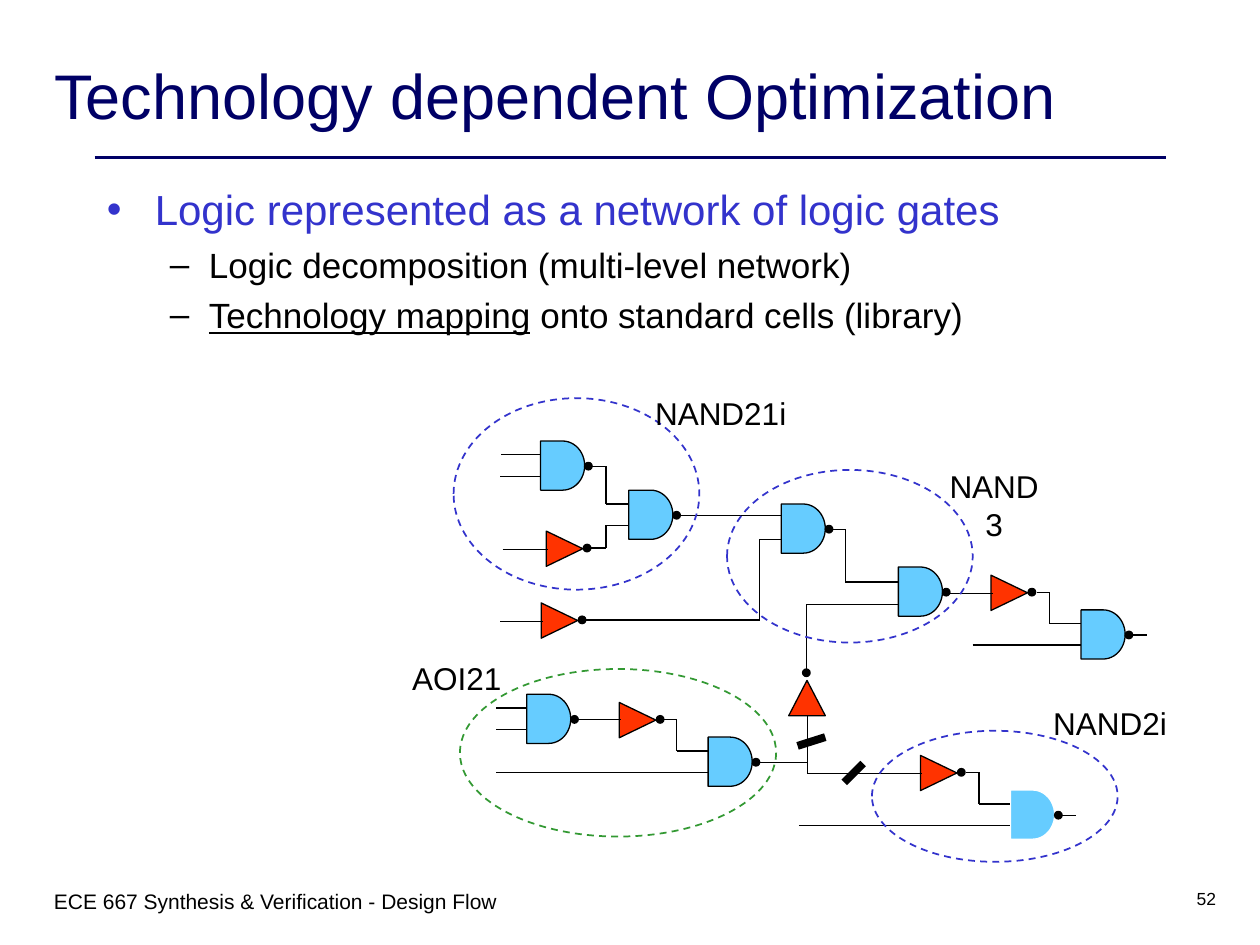
from typing import NamedTuple

from lxml.etree import SubElement
from pptx import Presentation
from pptx.dml.color import RGBColor
from pptx.enum.dml import MSO_LINE
from pptx.enum.shapes import MSO_CONNECTOR, MSO_SHAPE
from pptx.enum.text import MSO_ANCHOR, MSO_AUTO_SIZE, PP_ALIGN
from pptx.oxml.ns import qn
from pptx.util import Inches, Pt

COLORS = {
    "navy": "000066", "blue": "3333CC", "black": "000000", "white": "FFFFFF",
    "nand": "66CCFF", "inverter": "FF3300", "green": "339933",
}
FONT = "Arial"
BUBBLE = 0.06


class Nand(NamedTuple):
    left: float
    top: float
    outline: str = "black"


class Inverter(NamedTuple):
    left: float
    top: float


class Cell(NamedTuple):
    """A library cell: dashed outline and its name."""
    name: str
    outline: tuple[float, float, float, float]
    label: tuple[float, float, float]
    color: str = "blue"


class Bullet(NamedTuple):
    runs: list[tuple[str, bool]]  # text, underlined
    level: int
    mark: str
    margin: float
    hanging: float
    size: int
    color: str
    space: int


NANDS = [
    Nand(4.29, 3.5), Nand(4.99, 3.89), Nand(6.2, 4), Nand(7.13, 4.5),
    Nand(8.58, 4.84), Nand(4.18, 5.51), Nand(5.62, 5.85), Nand(8.02, 6.27, "white"),
]
INVERTERS = [
    Inverter(4.34, 4.21), Inverter(4.3, 4.78), Inverter(7.87, 4.56),
    Inverter(4.92, 5.57), Inverter(7.31, 5.99),
]
# Each wire is a run of corner points
WIRES = [
    # NAND21i cell
    [(3.98, 3.61), (4.29, 3.61)],
    [(3.97, 3.78), (4.29, 3.78)],
    [(4.7, 3.7), (4.81, 3.7), (4.81, 4), (4.99, 4)],
    [(3.99, 4.36), (4.35, 4.36)],
    [(4.69, 4.35), (4.81, 4.35), (4.81, 4.17), (4.99, 4.17)],
    [(5.39, 4.09), (6.2, 4.09)],
    # NAND3 cell
    [(3.97, 4.93), (4.31, 4.93)],
    [(4.65, 4.92), (6.03, 4.92), (6.03, 4.28), (6.2, 4.28)],
    [(6.61, 4.2), (6.71, 4.2), (6.71, 4.62), (7.13, 4.62)],
    # Output stage
    [(7.54, 4.71), (7.88, 4.71)],
    [(8.23, 4.7), (8.33, 4.7), (8.33, 4.95), (8.58, 4.95)],
    [(7.72, 5.12), (8.58, 5.12)],
    [(8.98, 5.04), (9.1, 5.04)],
    # AOI21 cell
    [(3.94, 5.62), (4.18, 5.62)],
    [(3.94, 5.79), (4.18, 5.79)],
    [(4.58, 5.71), (4.93, 5.71)],
    [(5.27, 5.71), (5.37, 5.71), (5.37, 5.96), (5.62, 5.96)],
    [(3.94, 6.13), (5.62, 6.13)],
    # Fan-out to the upward inverter and the NAND2i cell
    [(6.03, 6.05), (6.41, 6.05), (6.41, 5.68)],
    [(6.4, 5.31), (6.4, 4.8), (7.13, 4.8)],
    [(6.41, 6.05), (6.41, 6.14), (7.32, 6.14)],
    [(7.67, 6.13), (7.77, 6.13), (7.77, 6.38), (8.02, 6.38)],
    [(6.34, 6.55), (8.02, 6.55)],
    [(8.43, 6.47), (8.54, 6.47)],
]
CUT_MARKS = [[(6.33, 5.92), (6.55, 5.85)], [(6.7, 6.21), (6.85, 6.06)]]
CELLS = [
    Cell("AOI21", (3.65, 5.31, 2.51, 1.33), (3.17, 5.18, 0.91), "green"),
    Cell("NAND2i", (6.92, 5.8, 1.95, 1.04), (8.26, 5.54, 1.1)),
    Cell("NAND21i", (3.6, 3.16, 1.95, 1.52), (5.1, 3.08, 1.24)),
    Cell("NAND3", (5.77, 3.73, 1.95, 1.37), (7.37, 3.66, 1.04)),
]
BULLETS = [
    Bullet([("Logic represented as a network of logic gates", False)],
           0, "•", 0.38, 0.38, 24, "blue", 0),
    Bullet([("Logic decomposition (multi-level network)", False)],
           1, "–", 0.81, 0.31, 20, "black", 5),
    Bullet([("Technology mapping", True), (" onto standard cells (library)", False)],
           1, "–", 0.81, 0.31, 20, "black", 5),
]


def rgb(color: str) -> RGBColor:
    return RGBColor.from_string(COLORS[color])


def style_font(paragraph, size: float, color: str) -> None:
    paragraph.font.name = FONT
    paragraph.font.size = Pt(size)
    paragraph.font.color.rgb = rgb(color)


def add_route(shapes, points, width: float = 0.75, color: str = "black") -> None:
    for start, end in zip(points, points[1:]):
        segment = shapes.add_connector(
            MSO_CONNECTOR.STRAIGHT, *(Inches(v) for v in (*start, *end)))
        segment.line.width = Pt(width)
        segment.line.color.rgb = rgb(color)
        SubElement(segment._element.spPr, qn("a:effectLst"))


def add_part(shapes, kind, box, fill: str | None, outline: str = "black", width: float = 0.75):
    part = shapes.add_shape(kind, *(Inches(v) for v in box))
    part.shadow.inherit = False
    if fill:
        part.fill.solid()
        part.fill.fore_color.rgb = rgb(fill)
    else:
        part.fill.background()
    part.line.color.rgb = rgb(outline)
    part.line.width = Pt(width)
    return part


def add_bubble(shapes, left: float, top: float) -> None:
    add_part(shapes, MSO_SHAPE.OVAL, (left, top, BUBBLE, BUBBLE), "black")


def add_nand(shapes, gate: Nand) -> None:
    add_part(shapes, MSO_SHAPE.FLOWCHART_DELAY, (gate.left, gate.top, 0.35, 0.39),
             "nand", gate.outline)
    add_bubble(shapes, gate.left + 0.35, gate.top + 0.17)


def add_inverter(shapes, gate: Inverter) -> None:
    body = add_part(shapes, MSO_SHAPE.ISOSCELES_TRIANGLE,
                    (gate.left, gate.top, 0.28, 0.29), "inverter")
    body.rotation = 90
    add_bubble(shapes, gate.left + 0.29, gate.top + 0.11)


def add_text(shapes, text: str, box, size: float, align=PP_ALIGN.LEFT, wrap: bool = True):
    holder = shapes.add_textbox(*(Inches(v) for v in box))
    frame = holder.text_frame
    frame.word_wrap = wrap
    frame.auto_size = MSO_AUTO_SIZE.NONE if wrap else MSO_AUTO_SIZE.SHAPE_TO_FIT_TEXT
    paragraph = frame.paragraphs[0]
    paragraph.text = text
    paragraph.alignment = align
    style_font(paragraph, size, "black")


def add_cell(shapes, cell: Cell) -> None:
    border = add_part(shapes, MSO_SHAPE.OVAL, cell.outline, None, cell.color, 1)
    border.line.dash_style = MSO_LINE.DASH
    add_text(shapes, cell.name, (*cell.label, 0.4), 18, PP_ALIGN.CENTER, wrap=False)


def add_bullet(paragraph, bullet: Bullet) -> None:
    paragraph.level = bullet.level
    properties = paragraph._p.get_or_add_pPr()
    properties.set("marL", str(Inches(bullet.margin)))
    properties.set("indent", str(-Inches(bullet.hanging)))
    SubElement(properties, qn("a:buFont"), typeface=FONT)
    SubElement(properties, qn("a:buChar"), char=bullet.mark)
    paragraph.space_before = Pt(bullet.space)
    style_font(paragraph, bullet.size, bullet.color)
    for text, underlined in bullet.runs:
        run = paragraph.add_run()
        run.text = text
        if underlined:
            run.font.underline = True


def main() -> None:
    deck = Presentation()
    deck.slide_width, deck.slide_height = Inches(10), Inches(7.5)
    slide = deck.slides.add_slide(deck.slide_layouts[5])

    # Title and rule
    title = slide.shapes.title
    title.left, title.top = Inches(0.33), Inches(0.33)
    title.width, title.height = Inches(8.75), Inches(0.84)
    title.text_frame.text = "Technology dependent Optimization"
    title.text_frame.vertical_anchor = MSO_ANCHOR.MIDDLE
    heading = title.text_frame.paragraphs[0]
    heading.alignment = PP_ALIGN.LEFT
    style_font(heading, 36, "navy")
    add_route(slide.shapes, [(0.75, 1.25), (9.25, 1.25)], 2.25, "navy")

    # Bullets
    body = slide.shapes.add_textbox(Inches(0.75), Inches(1.33), Inches(7.92), Inches(1.67))
    outline = body.text_frame
    outline.word_wrap = True
    outline.margin_top = Inches(0.13)
    for index, bullet in enumerate(BULLETS):
        add_bullet(outline.add_paragraph() if index else outline.paragraphs[0], bullet)

    # Gate network
    network = slide.shapes.add_group_shape().shapes
    for gate in NANDS:
        add_nand(network, gate)
    for gate in INVERTERS:
        add_inverter(network, gate)
    add_part(network, MSO_SHAPE.ISOSCELES_TRIANGLE, (6.26, 5.4, 0.29, 0.28), "inverter")
    add_bubble(network, 6.37, 5.31)
    for wire in WIRES:
        add_route(network, wire)
    for mark in CUT_MARKS:
        add_route(network, mark, 4.5)
    for cell in CELLS:
        add_cell(network, cell)

    # Footer
    add_text(slide.shapes, "ECE 667 Synthesis & Verification - Design Flow", (0.33, 7, 4.5, 0.5), 12)
    add_text(slide.shapes, "52", (7.67, 7, 2.08, 0.5), 10, PP_ALIGN.RIGHT)

    deck.save("out.pptx")


if __name__ == "__main__":
    main()
